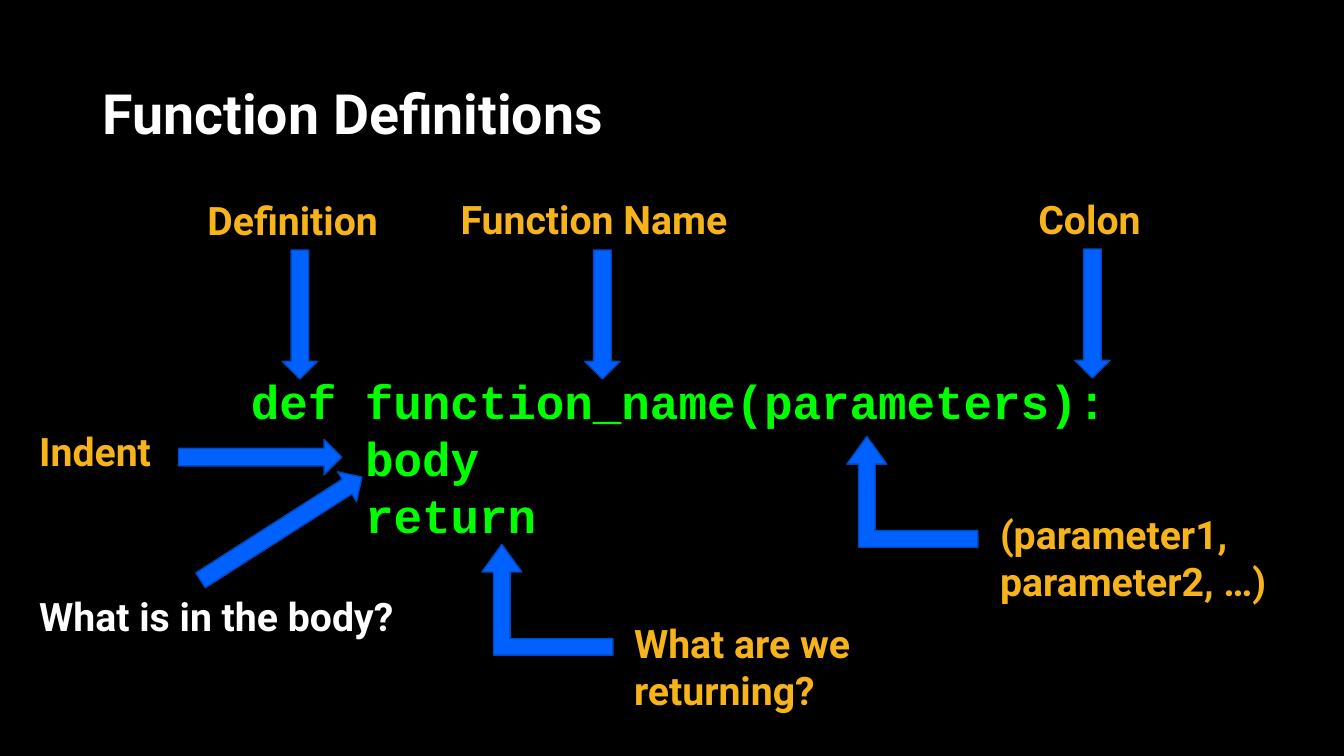
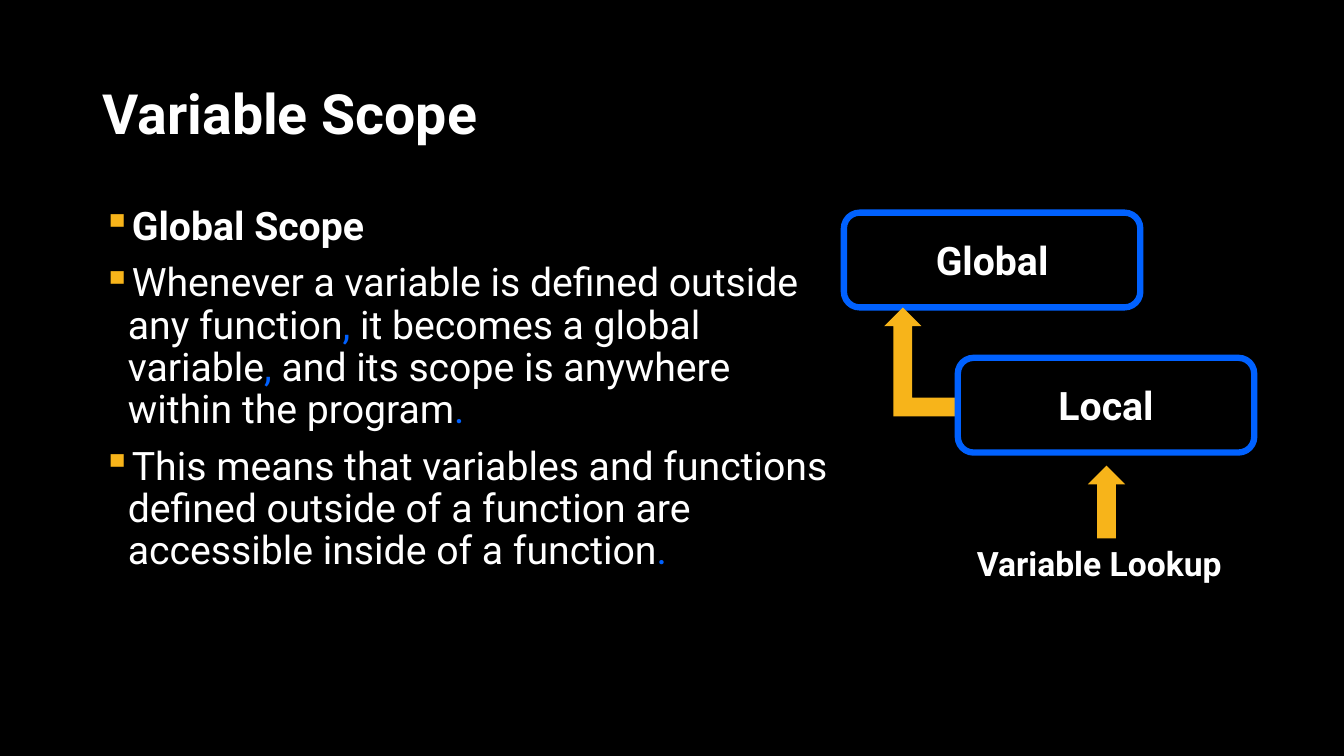
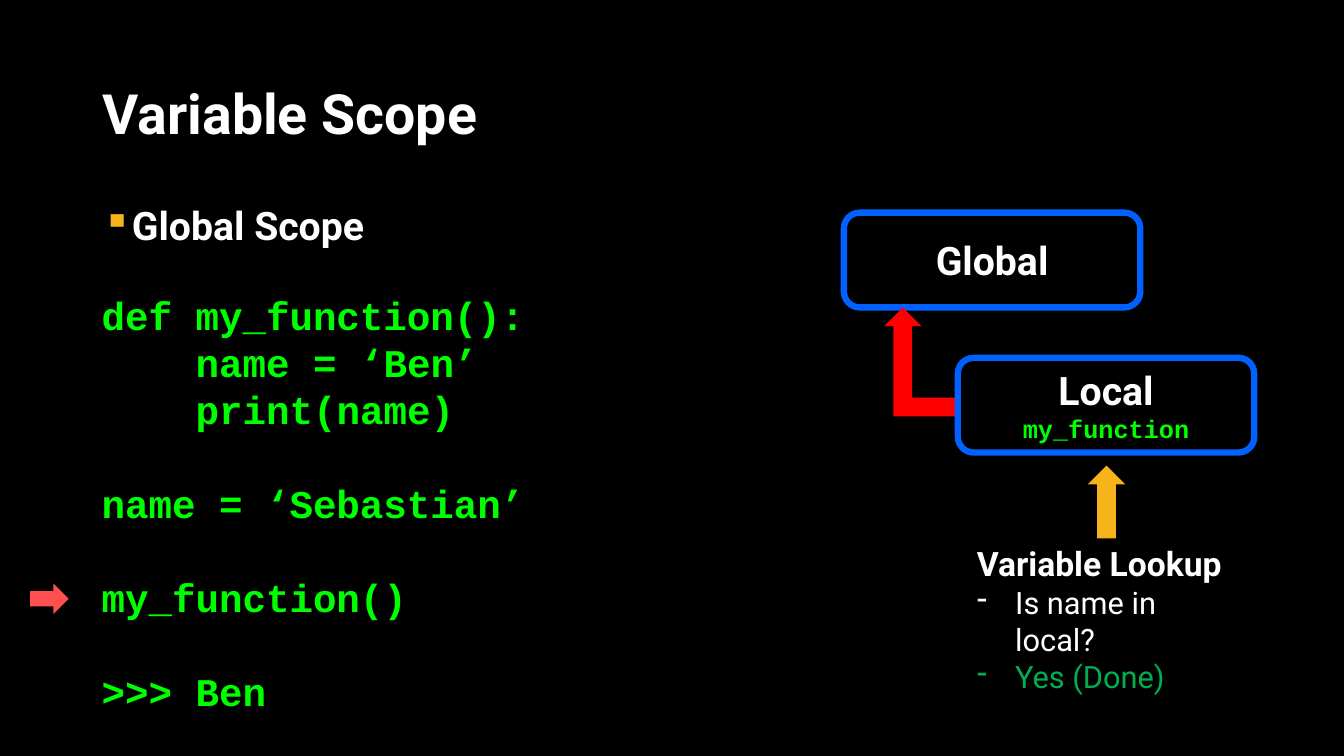
import dataclasses
import itertools

import pptx
import pptx.dml.color
import pptx.enum.shapes
import pptx.enum.text
import pptx.oxml.ns
import pptx.shapes.autoshape
import pptx.slide
import pptx.text.text
import pptx.util
from lxml import etree

Inches = pptx.util.Inches
Pt = pptx.util.Pt
Kind = pptx.enum.shapes.MSO_SHAPE
Align = pptx.enum.text.PP_ALIGN
Anchor = pptx.enum.text.MSO_ANCHOR


@dataclasses.dataclass(frozen=True)
class Theme:
    background: str = "000000"
    text: str = "FFFFFF"
    gold: str = "F7B41A"
    blue: str = "0061FF"
    blue_edge: str = "0048BD"
    code: str = "00FF00"
    red: str = "FF0000"
    pointer: str = "FF5050"
    success: str = "00B050"
    font: str = "Roboto"
    code_font: str = "Courier New"
    title_size: float = 39.6
    big_code_size: float = 34
    size: float = 28
    lookup_size: float = 24
    answer_size: float = 22
    small_code_size: float = 18
    line_height: float = 1.2
    code_advance: float = 0.6


THEME = Theme()


@dataclasses.dataclass(frozen=True)
class Box:
    left: float
    top: float
    width: float
    height: float

    def lengths(self) -> tuple[int, int, int, int]:
        return (Inches(self.left), Inches(self.top),
                Inches(self.width), Inches(self.height))


@dataclasses.dataclass(frozen=True)
class Label:
    lines: tuple[str, ...]
    box: Box
    color: str = THEME.gold


@dataclasses.dataclass(frozen=True)
class Arrow:
    kind: Kind
    box: Box
    fill: str = THEME.blue
    edge: str | None = None
    rotation: float = 0
    flipped: bool = False
    adjustments: tuple[float, ...] = ()


@dataclasses.dataclass(frozen=True)
class CodeLine:
    text: str
    level: int = 0
    blank_before: bool = False


# Text
def color_of(value: str) -> pptx.dml.color.RGBColor:
    return pptx.dml.color.RGBColor.from_string(value)


def write(frame: pptx.text.text.TextFrame, text: str, *,
          size: float = THEME.size, color: str = THEME.text,
          font: str = THEME.font, bold: bool = True,
          align: Align | None = None, line_spacing: float | None = None,
          space_before: float = 0, margin: float = 0, indent: float = 0,
          bullet: str = "", bullet_color: str | None = None,
          punctuation_color: str | None = None) -> None:
    """Add one paragraph; commas and periods may take their own colour."""
    paragraph = frame.paragraphs[0]
    if paragraph.runs:
        paragraph = frame.add_paragraph()
    paragraph.alignment = align
    paragraph.line_spacing = line_spacing
    paragraph.space_before = Pt(space_before)

    properties = paragraph._p.get_or_add_pPr()
    properties.set("marL", str(Inches(margin)))
    properties.set("indent", str(Inches(indent)))
    name = pptx.oxml.ns.qn
    if bullet_color:
        holder = etree.SubElement(properties, name("a:buClr"))
        etree.SubElement(holder, name("a:srgbClr"), val=bullet_color)
    if bullet:
        etree.SubElement(properties, name("a:buChar"), char=bullet)

    def is_accent(letter: str) -> bool:
        return punctuation_color is not None and letter in ",."

    for accent, letters in itertools.groupby(text, key=is_accent):
        run = paragraph.add_run()
        run.text = "".join(letters)
        run.font.name = font
        run.font.size = Pt(size)
        run.font.bold = bold
        run.font.color.rgb = color_of(punctuation_color if accent else color)


def add_text_box(slide: pptx.slide.Slide, box: Box,
                 anchor: Anchor = Anchor.TOP) -> pptx.text.text.TextFrame:
    frame = slide.shapes.add_textbox(*box.lengths()).text_frame
    frame.word_wrap = True
    frame.vertical_anchor = anchor
    return frame


def add_label(slide: pptx.slide.Slide, label: Label) -> None:
    frame = add_text_box(slide, label.box)
    for line in label.lines:
        write(frame, line, color=label.color)


def add_code(slide: pptx.slide.Slide, box: Box, lines: list[CodeLine],
             size: float) -> None:
    frame = add_text_box(slide, box)
    level_width = 4 * THEME.code_advance * size / 72
    for line in lines:
        write(frame, line.text, size=size, color=THEME.code,
              font=THEME.code_font, margin=line.level * level_width,
              space_before=line.blank_before * THEME.line_height * size)


def add_bullets(slide: pptx.slide.Slide, heading: str, *points: str) -> None:
    frame = add_text_box(slide, Box(0.92, 2, 7.45, 5.32 if points else 0.8))
    for text in (heading, *points):
        write(frame, text, bold=text == heading, line_spacing=0.9,
              space_before=10, margin=0.25, indent=-0.25, bullet="▪",
              bullet_color=THEME.gold, punctuation_color=THEME.blue)


# Shapes
def add_arrow(slide: pptx.slide.Slide, arrow: Arrow) -> None:
    shape = slide.shapes.add_shape(arrow.kind, *arrow.box.lengths())
    shape.shadow.inherit = False
    shape.rotation = arrow.rotation
    for index, value in enumerate(arrow.adjustments):
        shape.adjustments[index] = value
    if arrow.flipped:
        shape._element.spPr.xfrm.set("flipH", "1")
    shape.fill.solid()
    shape.fill.fore_color.rgb = color_of(arrow.fill)
    if arrow.edge:
        shape.line.color.rgb = color_of(arrow.edge)
        shape.line.width = Pt(1)
    else:
        shape.line.fill.background()


def add_scope_box(slide: pptx.slide.Slide, name: str, left: float,
                  top: float, function: str = "") -> None:
    shape = slide.shapes.add_shape(
        Kind.ROUNDED_RECTANGLE, *Box(left, top, 2.94, 0.94).lengths())
    shape.shadow.inherit = False
    shape.fill.background()
    shape.line.color.rgb = color_of(THEME.blue)
    shape.line.width = Pt(4.5)
    frame = shape.text_frame
    frame.vertical_anchor = Anchor.MIDDLE
    write(frame, name, align=Align.CENTER)
    if function:
        write(frame, function, size=THEME.small_code_size, color=THEME.code,
              font=THEME.code_font, align=Align.CENTER)


def add_scope_diagram(slide: pptx.slide.Slide, link_color: str,
                      function: str = "", question: str = "",
                      answer: str = "") -> None:
    lookup = add_text_box(slide, Box(9.59, 5.34, 2.75,
                                     1.25 if question else 0.5))
    write(lookup, "Variable Lookup", size=THEME.lookup_size)
    for text, color in ((question, THEME.text), (answer, THEME.success)):
        if text:
            write(lookup, text, size=THEME.answer_size, color=color,
                  bold=False, margin=0.38, indent=-0.38, bullet="-")
    add_arrow(slide, Arrow(Kind.UP_ARROW, Box(10.79, 4.62, 0.37, 0.72),
                           THEME.gold))
    add_scope_box(slide, "Global", 8.37, 2.11)
    add_arrow(slide, Arrow(Kind.BENT_UP_ARROW, Box(8.77, 3.05, 0.74, 1.08),
                           link_color, flipped=True))
    add_scope_box(slide, "Local", 9.5, 3.55, function)


# Slides
def add_slide(presentation, title: str) -> pptx.slide.Slide:
    slide = presentation.slides.add_slide(presentation.slide_layouts[6])
    fill = slide.background.fill
    fill.solid()
    fill.fore_color.rgb = color_of(THEME.background)
    frame = add_text_box(slide, Box(0.92, 0.8, 11.5, 0.72), Anchor.MIDDLE)
    write(frame, title, size=THEME.title_size, line_spacing=0.9)
    return slide


def build_definitions(presentation) -> None:
    slide = add_slide(presentation, "Function Definitions")
    add_code(slide, Box(2.39, 3.64, 8.77, 1.82), [
        CodeLine("def function_name(parameters):"),
        CodeLine("body", level=1),
        CodeLine("return", level=1),
    ], THEME.big_code_size)

    for label in (
        Label(("Definition",), Box(1.96, 1.9, 2.06, 0.57)),
        Label(("Function Name",), Box(4.47, 1.89, 3.02, 0.57)),
        Label(("Colon",), Box(10.2, 1.89, 1.28, 0.57)),
        Label(("Indent",), Box(0.29, 4.19, 1.41, 0.57)),
        Label(("What is in the body?",), Box(0.29, 5.83, 3.98, 0.57),
              THEME.text),
        Label(("(parameter1,", "parameter2, …)"),
              Box(9.82, 5.01, 3.06, 1.04)),
        Label(("What are we returning?",), Box(6.19, 6.09, 2.54, 1.04)),
    ):
        add_label(slide, label)

    edge = THEME.blue_edge
    # Arrows from the labels down to the code
    for left, top in ((2.8, 2.48), (5.8, 2.48), (10.66, 2.47)):
        add_arrow(slide, Arrow(Kind.DOWN_ARROW, Box(left, top, 0.35, 1.28),
                               edge=edge))
    # Arrows to the indent and the body
    for box, rotation in ((Box(1.77, 4.36, 1.62, 0.35), 0),
                          (Box(1.84, 5.07, 1.9, 0.35), 327.4)):
        add_arrow(slide, Arrow(Kind.RIGHT_ARROW, box, edge=edge,
                               rotation=rotation))
    # Bent arrows to the parameters and the return
    for left, top in ((8.4, 4.33), (4.78, 5.4)):
        add_arrow(slide, Arrow(Kind.BENT_UP_ARROW, Box(left, top, 1.3, 1.1),
                               edge=edge, flipped=True,
                               adjustments=(0.15, 0.18, 0.25)))


def build_scope(presentation) -> None:
    slide = add_slide(presentation, "Variable Scope")
    add_bullets(
        slide, "Global Scope",
        "Whenever a variable is defined outside any function, it becomes a "
        "global variable, and its scope is anywhere within the program.",
        "This means that variables and functions defined outside of a "
        "function are accessible inside of a function.")
    add_scope_diagram(slide, THEME.gold)


def build_scope_example(presentation) -> None:
    slide = add_slide(presentation, "Variable Scope")
    add_bullets(slide, "Global Scope")
    add_scope_diagram(slide, THEME.red, "my_function",
                      "Is name in local?", "Yes (Done)")
    add_code(slide, Box(0.91, 2.84, 4.67, 4.34), [
        CodeLine("def my_function():"),
        CodeLine("name = ‘Ben’", level=1),
        CodeLine("print(name)", level=1),
        CodeLine("name = ‘Sebastian’", blank_before=True),
        CodeLine("my_function()", blank_before=True),
        CodeLine(">>> Ben", blank_before=True),
    ], THEME.size)
    add_arrow(slide, Arrow(Kind.RIGHT_ARROW, Box(0.3, 5.79, 0.38, 0.3),
                           THEME.pointer))


def main() -> None:
    presentation = pptx.Presentation()
    presentation.slide_width = Inches(13.33)
    presentation.slide_height = Inches(7.5)
    build_definitions(presentation)
    build_scope(presentation)
    build_scope_example(presentation)
    presentation.save("out.pptx")


if __name__ == "__main__":
    main()
